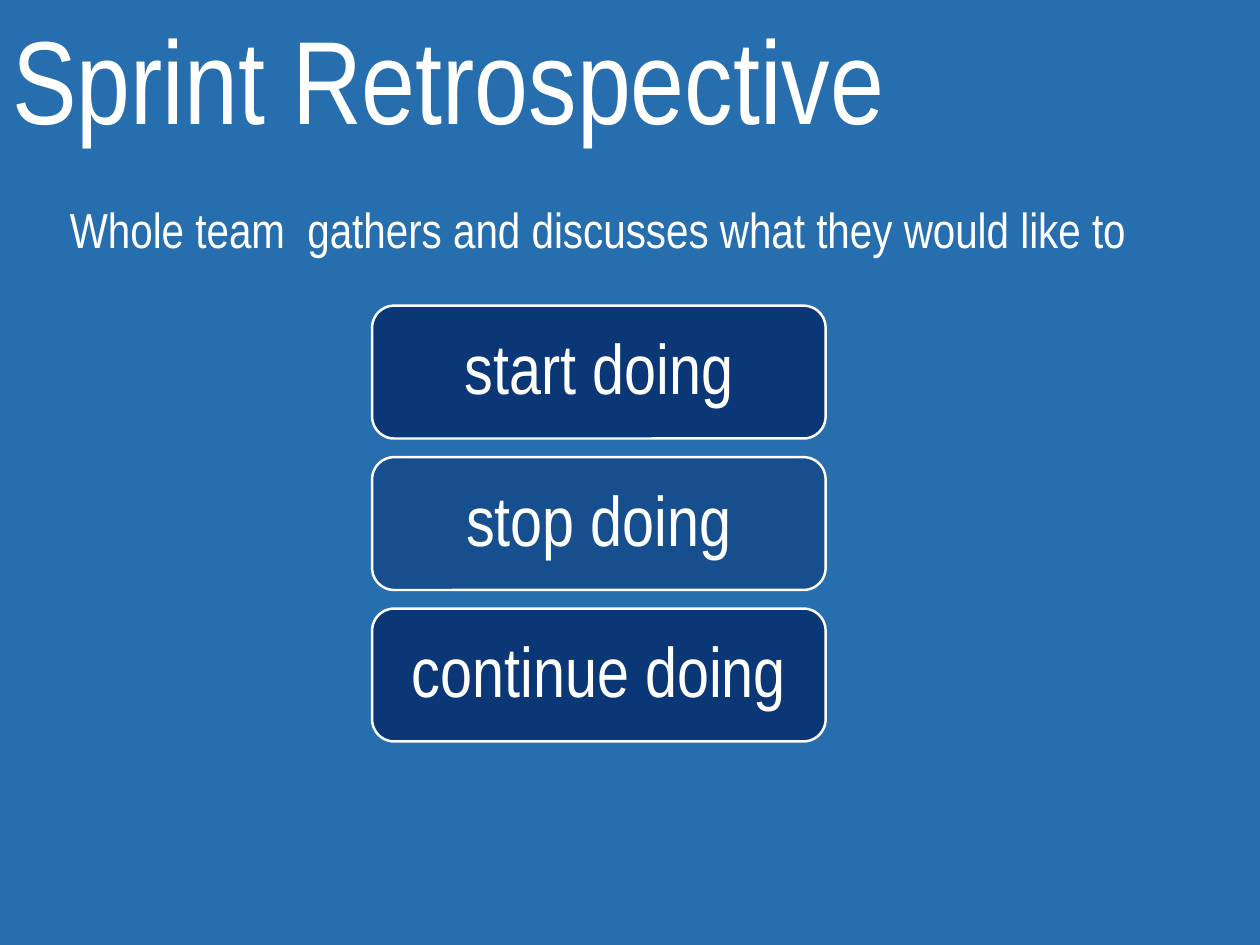
from dataclasses import dataclass

from lxml import etree
from pptx import Presentation, util as u
from pptx.dml import color, fill as fills
from pptx.enum import shapes, text
from pptx.oxml import ns
from pptx.shapes.autoshape import Shape
from pptx.slide import Slide

Pt = u.Pt
FONT = "Arial Narrow"
BACK, NAVY, WHITE = "266EAE", "002060", "FFFFFF"


@dataclass
class Box:
    words: str
    left: float
    top: float
    width: float
    height: float
    size: float


@dataclass
class Choice:
    words: str
    alpha: int  # percent


TITLE = Box("Sprint Retrospective", 0, 0, 921.6, 103, 96)
INTRO = Box("Whole team  gathers and discusses what they would like to",
            46.8, 157, 879, 111.6, 40)
CHOICES = [Choice("start doing", 70), Choice("stop doing", 40),
           Choice("continue doing", 70)]
LEFT, TOP, WIDTH, HEIGHT, PITCH = 302.4, 248.4, 368.6, 108, 123.1


def paint(fill: fills.FillFormat, shade: str) -> None:
    fill.solid()
    fill.fore_color.rgb = color.RGBColor.from_string(shade)


def fade(shape: Shape, alpha: int) -> None:
    """Make the solid fill of a shape partly transparent."""
    shade = shape._element.spPr.find(
        f"{ns.qn('a:solidFill')}/{ns.qn('a:srgbClr')}")
    etree.SubElement(shade, ns.qn("a:alpha"), val=str(alpha * 1000))


def write(shape: Shape, box: Box, side: float, edge: float) -> None:
    """Fill in the text, with side and edge as the inner margins."""
    frame = shape.text_frame
    frame.word_wrap = True
    frame.margin_left = frame.margin_right = Pt(side)
    frame.margin_top = frame.margin_bottom = Pt(edge)
    run = frame.paragraphs[0].add_run()
    run.text = box.words
    run.font.name = FONT
    run.font.size = Pt(box.size)
    paint(run.font.fill, WHITE)


def place(box: Box) -> list[u.Length]:
    return [Pt(n) for n in (box.left, box.top, box.width, box.height)]


def add_text(slide: Slide, box: Box) -> None:
    shape = slide.shapes.add_textbox(*place(box))
    write(shape, box, 10, 5)
    shape.text_frame.vertical_anchor = text.MSO_ANCHOR.TOP


def add_choice(slide: Slide, choice: Choice, row: int) -> None:
    box = Box(choice.words, LEFT, TOP + row * PITCH, WIDTH, HEIGHT, 57)
    shape = slide.shapes.add_shape(
        shapes.MSO_SHAPE.ROUNDED_RECTANGLE, *place(box))
    shape.shadow.inherit = False
    paint(shape.fill, NAVY)
    fade(shape, choice.alpha)
    paint(shape.line.fill, WHITE)
    shape.line.width = Pt(2)
    write(shape, box, 17, 17)
    shape.text_frame.vertical_anchor = text.MSO_ANCHOR.MIDDLE
    para = shape.text_frame.paragraphs[0]
    para.alignment = text.PP_ALIGN.CENTER
    para.line_spacing = 0.9


def main() -> None:
    deck = Presentation()
    deck.slide_width, deck.slide_height = Pt(1024), Pt(768)
    slide = deck.slides.add_slide(deck.slide_layouts[6])
    paint(slide.background.fill, BACK)
    add_text(slide, TITLE)
    for row, choice in enumerate(CHOICES):
        add_choice(slide, choice, row)
    add_text(slide, INTRO)
    deck.save("out.pptx")


if __name__ == "__main__":
    main()
